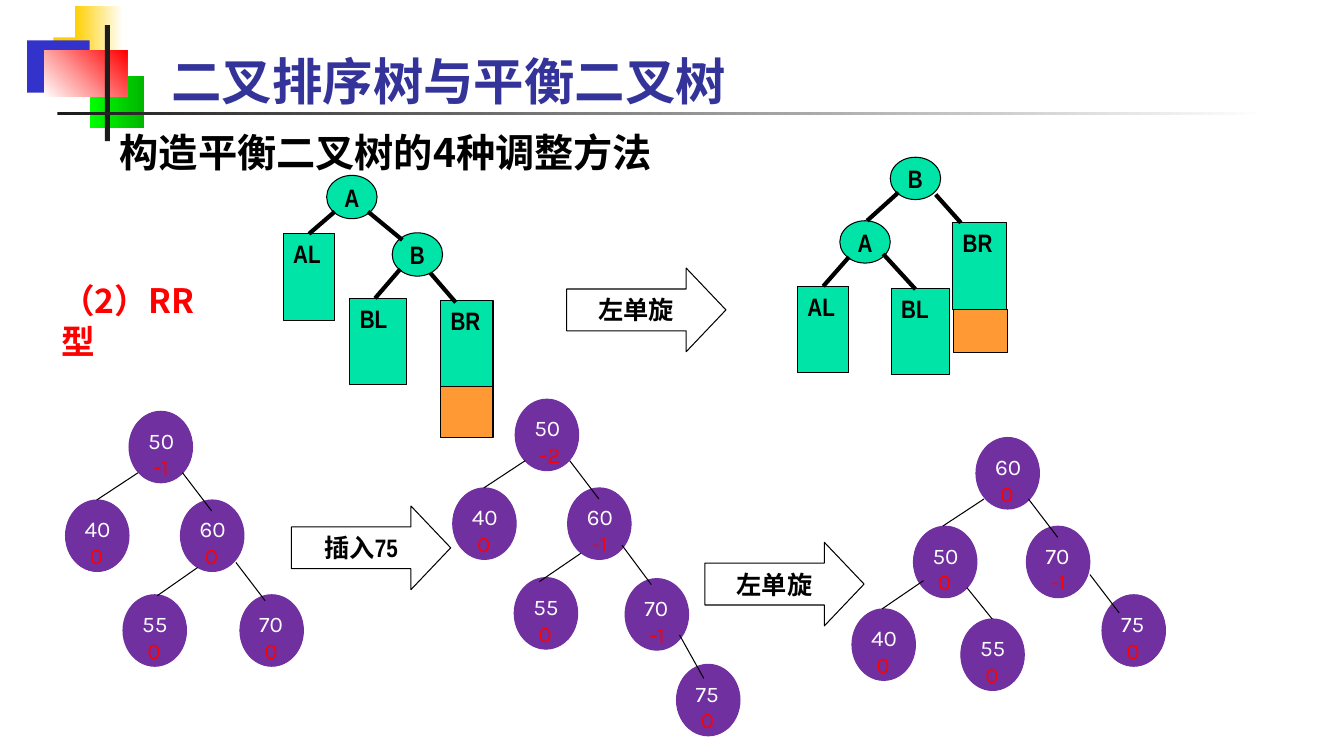
from lxml import etree
from pptx import Presentation, util as u
from pptx.dml.color import RGBColor
from pptx.enum import shapes as s, text as t
from pptx.oxml.ns import qn

PX = 9144  # 100 px to the inch
HUE = {"gold": "FFCF01", "blue": "3333CC", "lime": "00FF00", "green": "00B600",
       "red": "FF0000", "dark": "1C1C1C", "white": "FFFFFF", "title": "333399",
       "black": "000000", "orange": "FF9933", "violet": "7030A0", "mint": "00E4A8"}
HUE = {name: RGBColor.from_string(code) for name, code in HUE.items()}
RECT, OVAL, ARROW = (s.MSO_SHAPE.RECTANGLE, s.MSO_SHAPE.OVAL,
                     s.MSO_SHAPE.RIGHT_ARROW)
CJK = "Noto Sans CJK SC"
NARROW = "Arial Narrow"
LEFT, MID = t.PP_ALIGN.LEFT, t.PP_ALIGN.CENTER

prs = Presentation()
prs.slide_width, prs.slide_height = 1333 * PX, 750 * PX
slide = prs.slides.add_slide(prs.slide_layouts[5])
items = slide.shapes


def draw(kind, box, fill, line=None):
    """Add a shape; a pair of fill names makes a gradient."""
    shape = items.add_shape(kind, *(n * PX for n in box))
    shape.shadow.inherit = False
    if isinstance(fill, tuple):
        shape.fill.gradient()
        for stop, name in zip(shape.fill.gradient_stops, fill):
            stop.color.rgb = HUE[name]
        shape.fill.gradient_angle = 0
    else:
        shape.fill.solid()
        shape.fill.fore_color.rgb = HUE[fill]
    if line:
        shape.line.color.rgb = HUE[line]
        shape.line.width = u.Pt(0.75)
    else:
        shape.line.fill.background()
    return shape


def write(para, words, size, color, font=NARROW, bold=True, align=LEFT):
    para.alignment = align
    run = para.add_run()
    run.text = words
    run.font.size = u.Pt(size)
    run.font.bold = bold
    run.font.name = font
    run.font.color.rgb = HUE[color]
    east = etree.SubElement(run.font._element, qn("a:ea"))
    east.set("typeface", CJK)


# Corner ornament and rule
draw(RECT, (53, 37, 64, 52), "gold")
draw(RECT, (74, 6, 48, 52), ("gold", "white"))
draw(RECT, (27, 40, 62, 52), "blue")
draw(RECT, (89, 75, 54, 52), ("lime", "green"))
draw(RECT, (44, 50, 82, 46), ("white", "red")).fill.gradient_angle = 45
draw(RECT, (104, 25, 5, 115), "dark")
draw(RECT, (57, 111, 1200, 3), ("dark", "white"))

# Headings
title = items.title
title.left, title.top, title.width, title.height = (
    n * PX for n in (160, 45, 708, 70))
title.text_frame.vertical_anchor = t.MSO_ANCHOR.MIDDLE
title.text_frame.auto_size = t.MSO_AUTO_SIZE.NONE
write(title.text_frame.paragraphs[0], "二叉排序树与平衡二叉树", 36, "title")

for box, words, size, color, foot in [
        ((109, 97, 1008, 129), "构造平衡二叉树的4种调整方法", 28, "black", 52),
        ((51, 273, 172, 50), "（2）RR型", 24, "red", 5)]:
    frame = items.add_textbox(*(n * PX for n in box)).text_frame
    frame.word_wrap = True
    frame.margin_bottom = foot * PX
    if foot > 5:
        frame.vertical_anchor = t.MSO_ANCHOR.BOTTOM
    write(frame.paragraphs[0], words, size, color, CJK)

# Block arrows
for x, y, words in [(562, 266, "左单旋"), (289, 502, "插入75"),
                    (699, 538, "左单旋")]:
    arrow = draw(ARROW, (x, y, 158, 83), "white", "black")
    arrow.adjustments[0], arrow.adjustments[1] = 0.5, 0.475
    frame = arrow.text_frame
    frame.word_wrap = False
    frame.vertical_anchor = t.MSO_ANCHOR.MIDDLE
    write(frame.paragraphs[0], words, 18, "black", align=MID)

# Number trees: x, y, key, balance
for x, y, key, bal in [
        (128, 408, 50, -1), (65, 496, 40, 0), (179, 496, 60, 0),
        (122, 590, 55, 0), (238, 590, 70, 0),
        (511, 396, 50, -2), (449, 484, 40, 0), (563, 484, 60, -1),
        (510, 573, 55, 0), (620, 574, 70, -1), (671, 659, 75, 0),
        (968, 434, 60, 0), (906, 522, 50, 0), (1018, 522, 70, -1),
        (845, 604, 40, 0), (953, 614, 55, 0), (1093, 590, 75, 0)]:
    frame = draw(OVAL, (x, y, 63, 71), "violet", "violet").text_frame
    frame.word_wrap = False
    frame.vertical_anchor = t.MSO_ANCHOR.TOP
    write(frame.paragraphs[0], str(key), 16, "white", "Karla", False)
    write(frame.add_paragraph(), f" {bal}", 16, "red", "Karla", False)

# Rotation scheme
for x, y, high, name in [(324, 174, 43, "A"), (389, 231, 43, "B"),
                         (833, 219, 42, "A"), (883, 156, 42, "B")]:
    frame = draw(OVAL, (x, y, 50, high), "mint", "black").text_frame
    frame.word_wrap = False
    frame.vertical_anchor = t.MSO_ANCHOR.MIDDLE
    write(frame.paragraphs[0], name, 18, "black", align=MID)

for box in [(437, 383, 52, 51), (946, 307, 53, 43)]:
    draw(RECT, box, "orange", "black")

boxes = []
for x, y, wide, name in [(281, 232, 51, "AL"), (437, 298, 52, "BR"),
                         (347, 296, 56, "BL"), (791, 284, 51, "AL"),
                         (945, 221, 53, "BR"), (884, 286, 58, "BL")]:
    box = draw(RECT, (x, y, wide, 86), "mint", "black")
    frame = box.text_frame
    frame.word_wrap = True
    frame.vertical_anchor = t.MSO_ANCHOR.TOP
    write(frame.paragraphs[0], name, 18, "black")
    boxes.append(box)

# Branches: width in points, then end points
thin = [(137, 469, 96, 496), (181, 469, 210, 507), (196, 563, 156, 591),
        (234, 558, 263, 596),
        (521, 457, 480, 484), (565, 457, 594, 495), (576, 549, 535, 577),
        (617, 541, 646, 580), (674, 630, 698, 673),
        (959, 583, 984, 614), (1081, 570, 1110, 608), (976, 495, 935, 522),
        (1020, 495, 1049, 533), (916, 576, 875, 604)]
thick = [(332, 210, 307, 231), (365, 210, 399, 238), (397, 267, 372, 296),
         (427, 271, 452, 300), (891, 191, 860, 219), (876, 252, 908, 287),
         (842, 255, 817, 283), (928, 193, 953, 221)]
for width, ends in [(0.75, thin), (3, thick)]:
    for end in ends:
        branch = items.add_connector(s.MSO_CONNECTOR.STRAIGHT,
                                     *(n * PX for n in end))
        branch.line.color.rgb = HUE["black"]
        branch.line.width = u.Pt(width)
        etree.SubElement(branch._element.spPr, qn("a:effectLst"))
        for box in boxes:
            gap = abs(box.left + box.width // 2 - end[2] * PX)
            if gap <= PX and abs(box.top - end[3] * PX) <= PX:
                branch.end_connect(box, 0)

prs.save("out.pptx")
